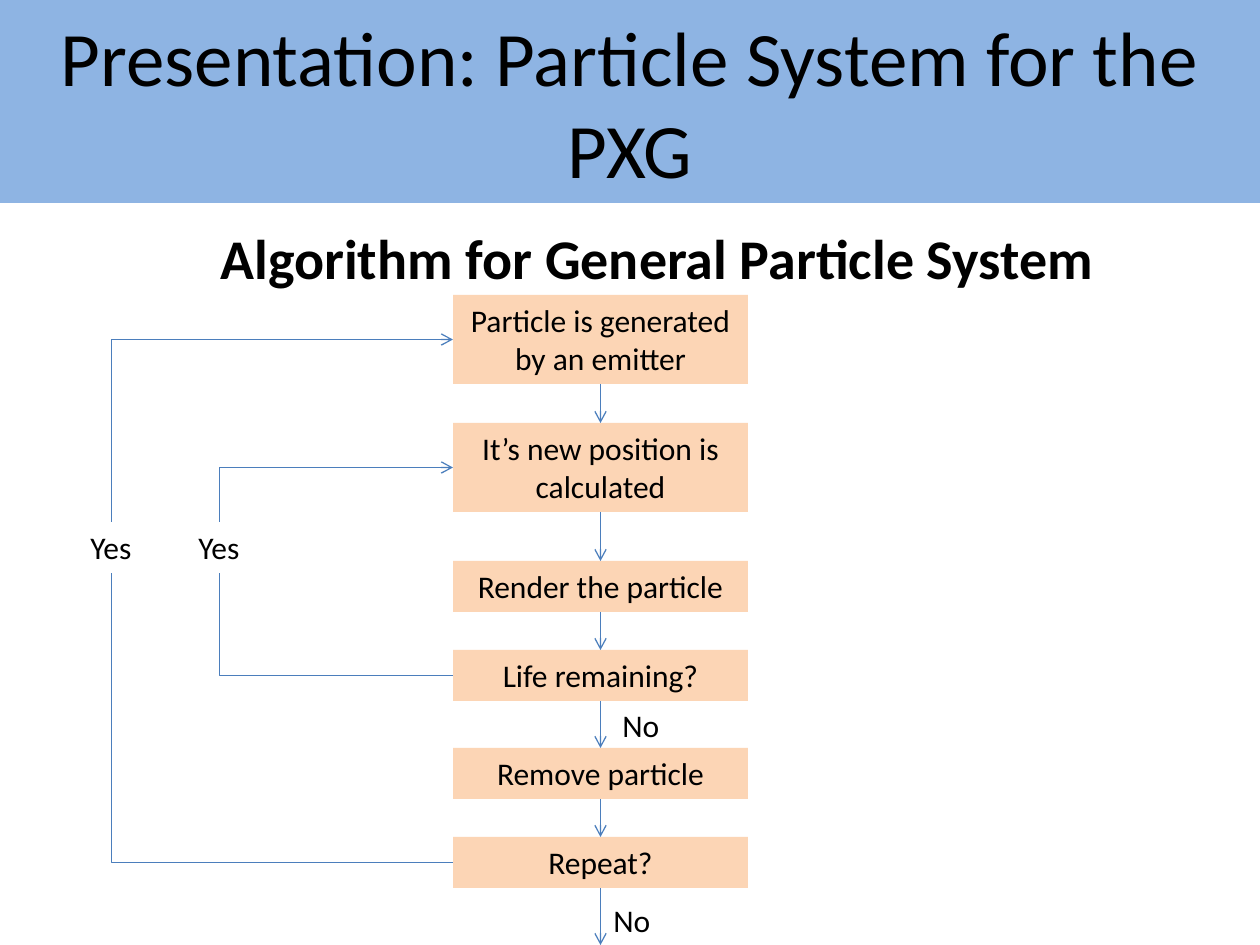
from dataclasses import dataclass
from itertools import pairwise

from lxml import etree
from pptx import Presentation
from pptx import util as u
from pptx.dml.color import RGBColor
from pptx.enum import shapes, text
from pptx.oxml.ns import qn

PX = u.Inches(1) / 126
WIDTH, HEIGHT = 1260, 945
BOTTOM, LEFT, TOP = 2, 1, 0


@dataclass(frozen=True)
class Theme:
    font: str = "Calibri"
    ink: RGBColor = RGBColor(0, 0, 0)
    band: RGBColor = RGBColor(0x8E, 0xB4, 0xE3)
    step: RGBColor = RGBColor(0xFC, 0xD5, 0xB5)
    line: RGBColor = RGBColor(0x4B, 0x7E, 0xBC)
    line_width: float = 0.75
    title: int = 44
    heading: int = 32
    body: int = 18


THEME = Theme()

# Top and height relative to the flowchart, then wording
STEPS = [
    (0, 89, "Particle is generated by an emitter"),
    (128, 89, "It’s new position is calculated"),
    (266, 51, "Render the particle"),
    (355, 51, "Life remaining?"),
    (453, 51, "Remove particle"),
    (542, 51, "Repeat?"),
]
STEP_LEFT, STEP_WIDTH = 375, 295
# Label left, deciding step, step returned to
LOOPS = [(108, 3, 1), (0, 5, 0)]
YES_TOP = 227
NO_LABELS = [(532, 405), (523, 600)]


def emu(*px):
    return [u.Emu(round(v * PX)) for v in px]


def write(sp, words, size, align=text.PP_ALIGN.CENTER, bold=False):
    p = sp.text_frame.paragraphs[0]
    p.alignment = align
    r = p.add_run()
    r.text = words
    r.font.name = THEME.font
    r.font.size = u.Pt(size)
    r.font.bold = bold
    r.font.color.rgb = THEME.ink


def add_title(s, x, y, w, h, words):
    sp = s.shapes.title
    sp.left, sp.top, sp.width, sp.height = emu(x, y, w, h)
    sp.fill.solid()
    sp.fill.fore_color.rgb = THEME.band
    tf = sp.text_frame
    tf.auto_size = text.MSO_AUTO_SIZE.NONE
    tf.vertical_anchor = text.MSO_ANCHOR.MIDDLE
    write(sp, words, THEME.title)


def add_heading(s, x, y, w, h, words):
    sp = s.shapes.add_textbox(*emu(x, y, w, h))
    sp.text_frame.word_wrap = True
    write(sp, words, THEME.heading, bold=True)


def add_step(s, x, y, w, h, words):
    sp = s.shapes.add_shape(shapes.MSO_SHAPE.RECTANGLE, *emu(x, y, w, h))
    sp.shadow.inherit = False
    sp.fill.solid()
    sp.fill.fore_color.rgb = THEME.step
    sp.line.fill.background()
    tf = sp.text_frame
    tf.word_wrap = True
    tf.vertical_anchor = text.MSO_ANCHOR.TOP
    tf.auto_size = text.MSO_AUTO_SIZE.SHAPE_TO_FIT_TEXT
    write(sp, words, THEME.body)
    return sp


def add_label(s, x, y, w, words):
    sp = s.shapes.add_textbox(*emu(x, y, w, 51))
    sp.text_frame.word_wrap = False
    sp.text_frame.auto_size = text.MSO_AUTO_SIZE.SHAPE_TO_FIT_TEXT
    write(sp, words, THEME.body, text.PP_ALIGN.LEFT)
    return sp


def add_line(s, kind, arrow=None):
    """Add a connector to be placed later; arrow is headEnd, tailEnd or None."""
    c = s.shapes.add_connector(kind, 0, 0, 0, 0)
    c.line.color.rgb = THEME.line
    c.line.width = u.Pt(THEME.line_width)
    if arrow:
        etree.SubElement(c.line._get_or_add_ln(), qn(f"a:{arrow}"), type="arrow")
    etree.SubElement(c._element.spPr, qn("a:effectLst"))
    return c


def add_arrow_down(s, step):
    c = add_line(s, shapes.MSO_CONNECTOR.STRAIGHT, "tailEnd")
    c.begin_connect(step, BOTTOM)
    return c


def add_bend(s, step, label, side, arrow=None):
    """Run level from the step's left side, then turn to the label."""
    c = add_line(s, shapes.MSO_CONNECTOR.ELBOW, arrow)
    c._element.spPr.find(qn("a:prstGeom")).set("prst", "bentConnector2")
    c.begin_connect(step, LEFT)
    c.end_connect(label, side)


def add_flowchart(s, x, y, bottom):
    steps = [add_step(s, x + STEP_LEFT, y + top, STEP_WIDTH, h, words)
             for top, h, words in STEPS]
    for upper, lower in pairwise(steps):
        add_arrow_down(s, upper).end_connect(lower, TOP)
    way_out = add_arrow_down(s, steps[-1])
    way_out.end_x, way_out.end_y = way_out.begin_x, emu(bottom)[0]

    for left, decision, target in LOOPS:
        label = add_label(s, x + left, y + YES_TOP, 67, "Yes")
        add_bend(s, steps[decision], label, BOTTOM)
        add_bend(s, steps[target], label, TOP, "headEnd")
    for left, top in NO_LABELS:
        add_label(s, x + left, y + top, 63, "No")


def main():
    prs = Presentation()
    prs.slide_width, prs.slide_height = emu(WIDTH, HEIGHT)
    s = prs.slides.add_slide(prs.slide_layouts[5])
    add_title(s, 0, 0, WIDTH, 203, "Presentation: Particle System for the PXG")
    add_heading(s, 141, 217, 1033, 147, "Algorithm for General Particle System")
    add_flowchart(s, 78, 295, HEIGHT)
    prs.save("out.pptx")


if __name__ == "__main__":
    main()
